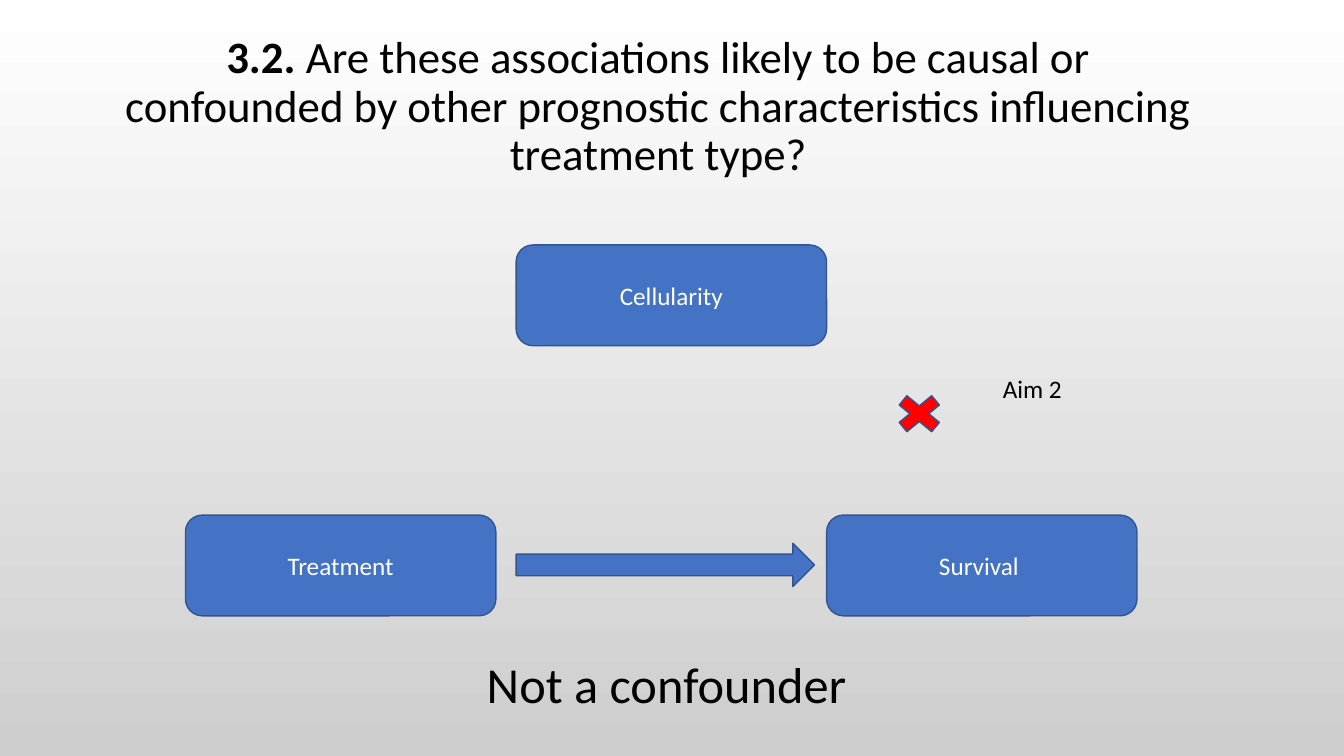
import pptx
import pptx.dml.color
import pptx.enum.shapes
import pptx.enum.text
import pptx.util

SHAPES = pptx.enum.shapes.MSO_SHAPE
ANCHOR = pptx.enum.text.MSO_ANCHOR
ALIGN = pptx.enum.text.PP_ALIGN
AUTO_SIZE = pptx.enum.text.MSO_AUTO_SIZE

WIDTH, HEIGHT = 13.33, 7.5
TITLE_ONLY = 5


def color(value):
    return pptx.dml.color.RGBColor.from_string(value)


class Diagram:
    """Style and current slide; lengths are columns and rows of a 100 by 100 grid."""

    font = "Calibri"
    blue, outline, red = "4472C4", "325491", "FF0000"
    black, white = "000000", "FFFFFF"

    def __init__(self, slide):
        self.slide = slide

    def area(self, left, top, width, height):
        column, row = WIDTH / 100, HEIGHT / 100
        return [pptx.util.Inches(length) for length in
                (left * column, top * row, width * column, height * row)]

    def format(self, paragraph, size, text_color, alignment):
        paragraph.alignment = alignment
        paragraph.font.name = self.font
        paragraph.font.size = pptx.util.Pt(size)
        paragraph.font.color.rgb = color(text_color)

    def background(self, top_color, bottom_color):
        fill = self.slide.background.fill
        fill.gradient()
        fill.gradient_angle = 270
        for stop, value, position in zip(fill.gradient_stops, (top_color, bottom_color), (0, 1)):
            stop.color.rgb = color(value)
            stop.position = position

    def title(self, number, question, *place):
        title = self.slide.shapes.title
        title.left, title.top, title.width, title.height = self.area(*place)
        frame = title.text_frame
        frame.word_wrap = True
        frame.auto_size = AUTO_SIZE.NONE
        frame.vertical_anchor = ANCHOR.MIDDLE
        frame.margin_bottom = pptx.util.Inches(0.73)
        paragraph = frame.paragraphs[0]
        self.format(paragraph, 32, self.black, ALIGN.CENTER)
        paragraph.line_spacing = 0.9
        for text, bold in ((number, True), (question, False)):
            run = paragraph.add_run()
            run.text = text
            run.font.bold = bold

    def shape(self, kind, fill, *place):
        shape = self.slide.shapes.add_shape(kind, *self.area(*place))
        shape.shadow.inherit = False
        shape.fill.solid()
        shape.fill.fore_color.rgb = color(fill)
        shape.line.color.rgb = color(self.outline)
        shape.line.width = pptx.util.Pt(1)
        return shape

    def box(self, text, left, top):
        shape = self.shape(SHAPES.ROUNDED_RECTANGLE, self.blue, left, top, 23.1, 13.33)
        frame = shape.text_frame
        frame.text = text
        frame.vertical_anchor = ANCHOR.MIDDLE
        self.format(frame.paragraphs[0], 18, self.white, ALIGN.CENTER)

    def label(self, text, size, *place):
        frame = self.slide.shapes.add_textbox(*self.area(*place)).text_frame
        frame.word_wrap = True
        frame.auto_size = AUTO_SIZE.SHAPE_TO_FIT_TEXT
        frame.text = text
        self.format(frame.paragraphs[0], size, self.black, ALIGN.LEFT)


def main():
    presentation = pptx.Presentation()
    presentation.slide_width = pptx.util.Inches(WIDTH)
    presentation.slide_height = pptx.util.Inches(HEIGHT)
    slide = presentation.slides.add_slide(presentation.slide_layouts[TITLE_ONLY])

    diagram = Diagram(slide)
    diagram.background("FFFFFF", "CECECE")
    diagram.title(
        "3.2.",
        " Are these associations likely to be causal or confounded by other "
        "prognostic characteristics influencing treatment type?",
        7.88, 6, 82.2, 25.6)
    for text, left, top in (("Cellularity", 38.4, 32.4),
                            ("Treatment", 13.8, 68.13),
                            ("Survival ", 61.5, 68.13)):
        diagram.box(text, left, top)
    diagram.shape(SHAPES.RIGHT_ARROW, diagram.blue, 38.4, 71.87, 22.2, 5.73)
    diagram.label("Aim 2", 18, 73.88, 48.67, 22.5, 5.33)
    diagram.label("Not a confounder", 36, 35.48, 85.73, 45.53, 9.47)
    diagram.shape(SHAPES.MATH_MULTIPLY, diagram.red, 66.08, 51.33, 4.65, 6.8)
    presentation.save("out.pptx")


if __name__ == "__main__":
    main()
